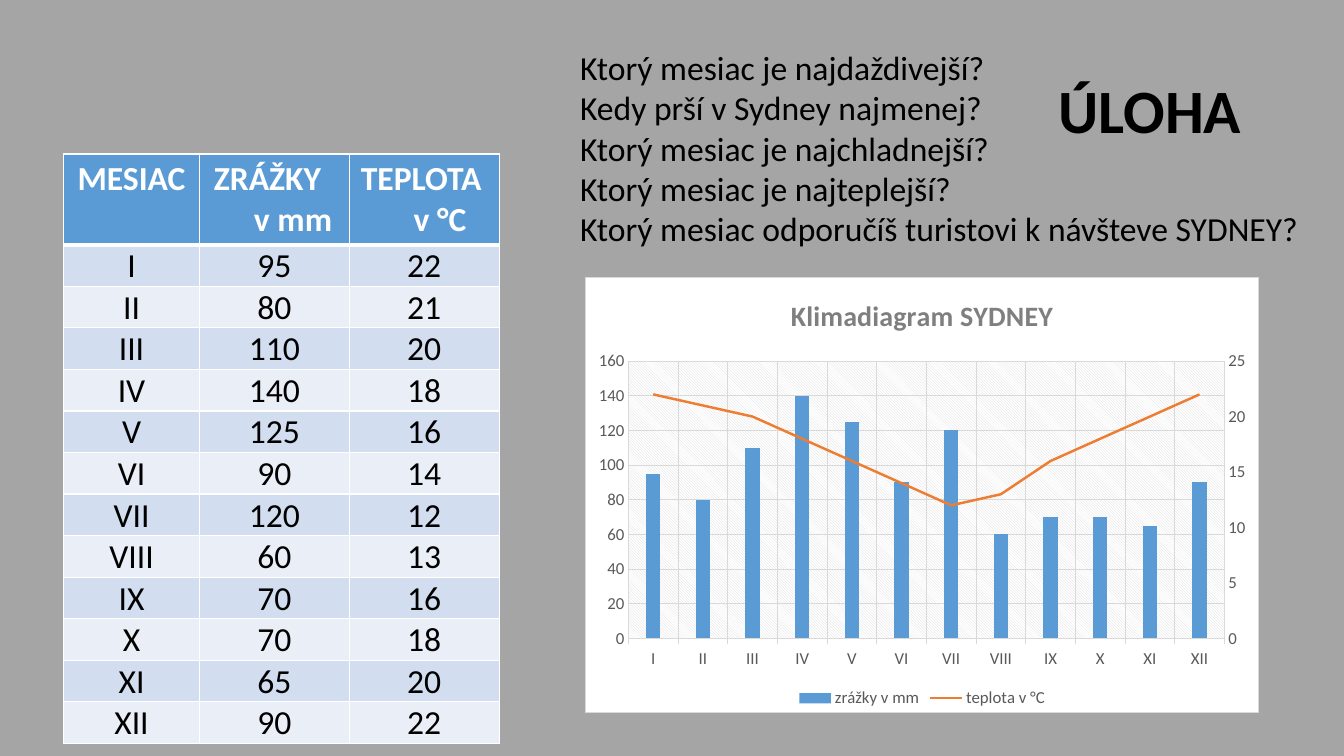
from lxml.etree import SubElement
from pptx import Presentation
from pptx.chart.data import CategoryChartData
from pptx.dml.color import RGBColor
from pptx.enum.chart import XL_CHART_TYPE, XL_LEGEND_POSITION, XL_MARKER_STYLE, XL_TICK_MARK
from pptx.enum.text import MSO_ANCHOR, MSO_AUTO_SIZE, PP_ALIGN
from pptx.oxml import parse_xml
from pptx.oxml.ns import nsdecls, qn
from pptx.util import Cm, Pt

MONTHS = ["I", "II", "III", "IV", "V", "VI", "VII", "VIII", "IX", "X", "XI", "XII"]
RAINFALL = [95, 80, 110, 140, 125, 90, 120, 60, 70, 70, 65, 90]
TEMPERATURE = [22, 21, 20, 18, 16, 14, 12, 13, 16, 18, 20, 22]
HEADINGS = [
    [("MESIAC", 0, 0)],
    [("ZRÁŽKY", 0, 0.35), ("v mm", 0.94, 0)],
    [("TEPLOTA", 0, 0.15), ("v °C", 0.8, 0)],
]
QUESTIONS = [
    "Ktorý mesiac je najdaždivejší?",
    "Kedy prší v Sydney najmenej?",
    "Ktorý mesiac je najchladnejší?",
    "Ktorý mesiac je najteplejší?",
    "Ktorý mesiac odporučíš turistovi k návšteve SYDNEY?",
]
BLUE, ORANGE, GRID, LABEL = "5B9BD5", "ED7D31", "D9D9D9", "595959"


def color(value):
    """Turn a hex string into a colour."""
    return RGBColor.from_string(value)


def style_font(font, size, value, bold=False):
    """Set typeface, size, colour and weight."""
    font.name, font.size, font.bold = "Calibri", Pt(size), bold
    font.color.rgb = color(value)


def add_span(para, text, size, value="000000", bold=False):
    """Add one styled run to a paragraph."""
    span = para.add_run()
    span.text = text
    style_font(span.font, size, value, bold)


def add_title(page, left, top, width, height):
    """Place the right-aligned heading."""
    frame = page.shapes.add_textbox(Cm(left), Cm(top), Cm(width), Cm(height)).text_frame
    frame.word_wrap = True
    frame.vertical_anchor = MSO_ANCHOR.MIDDLE
    para = frame.paragraphs[0]
    para.alignment, para.line_spacing = PP_ALIGN.RIGHT, 0.9
    add_span(para, "ÚLOHA", 44, bold=True)


def add_questions(page, left, top, width, height):
    """Place the list of questions, one paragraph each."""
    frame = page.shapes.add_textbox(Cm(left), Cm(top), Cm(width), Cm(height)).text_frame
    frame.word_wrap = False
    frame.auto_size = MSO_AUTO_SIZE.SHAPE_TO_FIT_TEXT
    for index, question in enumerate(QUESTIONS):
        para = frame.add_paragraph() if index else frame.paragraphs[0]
        add_span(para, question, 24)


def finish_cell(cell, fill, top_width, bottom_width):
    """Give a cell white borders and a solid fill."""
    properties = cell._tc.get_or_add_tcPr()
    for side, width in (("L", 1), ("R", 1), ("T", top_width), ("B", bottom_width)):
        line = SubElement(properties, qn(f"a:ln{side}"), w=str(Pt(width)))
        SubElement(SubElement(line, qn("a:solidFill")), qn("a:srgbClr"), val="FFFFFF")
    cell.fill.solid()
    cell.fill.fore_color.rgb = color(fill)


def add_climate_table(page, left, top, column_widths, header_height, row_height):
    """Place the table of monthly rainfall and temperature."""
    records = list(zip(MONTHS, RAINFALL, TEMPERATURE))
    height = header_height + row_height * len(records)
    table = page.shapes.add_table(len(records) + 1, len(column_widths), Cm(left), Cm(top),
                                  Cm(sum(column_widths)), Cm(height)).table
    for column, width in zip(table.columns, column_widths):
        column.width = Cm(width)
    for row in table.rows:
        row.height = Cm(row_height)
    table.rows[0].height = Cm(header_height)
    for column, lines in enumerate(HEADINGS):
        cell = table.cell(0, column)
        for index, (text, left_indent, right_indent) in enumerate(lines):
            para = cell.text_frame.add_paragraph() if index else cell.text_frame.paragraphs[0]
            para.alignment = PP_ALIGN.CENTER
            indents = para._p.get_or_add_pPr()
            indents.set("marL", str(Cm(left_indent)))
            indents.set("marR", str(Cm(right_indent)))
            add_span(para, text, 24, "FFFFFF", True)
        finish_cell(cell, BLUE, 1, 3)
    for row, record in enumerate(records, 1):
        for column, value in enumerate(record):
            cell = table.cell(row, column)
            cell.vertical_anchor = MSO_ANCHOR.BOTTOM
            cell.margin_left = cell.margin_right = cell.margin_top = Cm(0.03)
            cell.margin_bottom = 0
            para = cell.text_frame.paragraphs[0]
            para.alignment = PP_ALIGN.CENTER
            add_span(para, str(value), 24)
            finish_cell(cell, "D2DEEF" if row % 2 else "EAEFF7", 3 if row == 1 else 1, 1)


def move_to_right_axis(chart):
    """Turn the second column series into a line on a second axis."""
    plot_area = chart._chartSpace.find(qn("c:chart")).find(qn("c:plotArea"))
    bars = plot_area.find(qn("c:barChart"))
    series = bars.findall(qn("c:ser"))[1]
    for flag in series.findall(qn("c:invertIfNegative")):
        series.remove(flag)
    lines = parse_xml(f'<c:lineChart {nsdecls("c")}><c:grouping val="standard"/>'
                      '<c:varyColors val="0"/><c:marker val="1"/>'
                      '<c:axId val="5001"/><c:axId val="5002"/></c:lineChart>')
    lines.insert(2, series)
    bars.addnext(lines)
    category_axis = parse_xml(
        f'<c:catAx {nsdecls("c")}><c:axId val="5001"/>'
        '<c:scaling><c:orientation val="minMax"/></c:scaling><c:delete val="1"/>'
        '<c:axPos val="b"/><c:crossAx val="5002"/><c:crosses val="autoZero"/></c:catAx>')
    value_axis = parse_xml(
        f'<c:valAx {nsdecls("c", "a")}><c:axId val="5002"/>'
        '<c:scaling><c:orientation val="minMax"/><c:max val="25"/><c:min val="0"/></c:scaling>'
        '<c:delete val="0"/><c:axPos val="r"/><c:numFmt formatCode="General" sourceLinked="0"/>'
        '<c:majorTickMark val="none"/><c:minorTickMark val="none"/><c:tickLblPos val="nextTo"/>'
        '<c:spPr><a:ln><a:noFill/></a:ln></c:spPr>'
        '<c:txPr><a:bodyPr/><a:p><a:pPr><a:defRPr sz="1200"><a:solidFill>'
        f'<a:srgbClr val="{LABEL}"/></a:solidFill><a:latin typeface="Calibri"/></a:defRPr>'
        '</a:pPr><a:endParaRPr lang="sk-SK"/></a:p></c:txPr>'
        '<c:crossAx val="5001"/><c:crosses val="max"/><c:crossBetween val="between"/>'
        '<c:majorUnit val="5"/></c:valAx>')
    plot_area.findall(qn("c:valAx"))[-1].addnext(value_axis)
    value_axis.addnext(category_axis)


def paint_chart(chart):
    """Fill the chart area and hatch the plot area."""
    chart_element = chart._chartSpace.find(qn("c:chart"))
    chart_element.find(qn("c:plotArea")).append(parse_xml(
        f'<c:spPr {nsdecls("c", "a")}><a:pattFill prst="ltDnDiag">'
        f'<a:fgClr><a:srgbClr val="{GRID}"/></a:fgClr>'
        '<a:bgClr><a:srgbClr val="FFFFFF"/></a:bgClr></a:pattFill></c:spPr>'))
    chart_element.addnext(parse_xml(
        f'<c:spPr {nsdecls("c", "a")}><a:solidFill><a:srgbClr val="FFFFFF"/></a:solidFill>'
        f'<a:ln w="{Pt(0.75)}"><a:solidFill><a:srgbClr val="{GRID}"/></a:solidFill></a:ln></c:spPr>'))


def style_line(line, value, width):
    """Set the colour and width of a line."""
    line.color.rgb, line.width = color(value), Pt(width)


def add_climate_chart(page, left, top, width, height):
    """Place the combined rainfall and temperature chart."""
    data = CategoryChartData()
    data.categories = MONTHS
    data.add_series("zrážky v mm", RAINFALL)
    data.add_series("teplota v °C", TEMPERATURE)
    chart = page.shapes.add_chart(XL_CHART_TYPE.COLUMN_CLUSTERED, Cm(left), Cm(top),
                                  Cm(width), Cm(height), data).chart
    style_font(chart.font, 10, "000000")
    add_span(chart.chart_title.text_frame.paragraphs[0], "Klimadiagram SYDNEY", 20, "7F7F7F", True)
    chart.chart_title.include_in_layout = False
    chart.has_legend = True
    chart.legend.position = XL_LEGEND_POSITION.BOTTOM
    chart.legend.include_in_layout = False
    style_font(chart.legend.font, 12, LABEL)
    months, amounts = chart.category_axis, chart.value_axis
    for axis, tick in ((months, XL_TICK_MARK.CROSS), (amounts, XL_TICK_MARK.NONE)):
        axis.major_tick_mark = tick
        axis.has_major_gridlines = True
        style_line(axis.major_gridlines.format.line, GRID, 0.75)
        style_font(axis.tick_labels.font, 12, LABEL)
    style_line(months.format.line, GRID, 0.75)
    amounts.format.line.fill.background()
    amounts.minimum_scale, amounts.maximum_scale, amounts.major_unit = 0, 160, 20
    move_to_right_axis(chart)
    columns, lines = chart.plots
    columns.gap_width = 247
    columns.vary_by_categories = False
    columns.series[0].format.fill.solid()
    columns.series[0].format.fill.fore_color.rgb = color(BLUE)
    temperature = lines.series[0]
    temperature.smooth = False
    temperature.marker.style = XL_MARKER_STYLE.NONE
    style_line(temperature.format.line, ORANGE, 1.75)
    paint_chart(chart)


def main():
    """Build the climate exercise slide."""
    deck = Presentation()
    deck.slide_width, deck.slide_height = Cm(33.87), Cm(19.05)
    page = deck.slides.add_slide(deck.slide_layouts[6])
    page.background.fill.solid()
    page.background.fill.fore_color.rgb = color("A5A5A5")
    add_title(page, 2.33, 1.01, 29.21, 3.68)
    add_climate_table(page, 1.6, 3.88, [3.43, 3.77, 3.78], 2.2, 1.02)
    add_climate_chart(page, 14.74, 6.97, 17, 10.99)
    add_questions(page, 14.37, 1.06, 18.98, 5.39)
    deck.save("out.pptx")


if __name__ == "__main__":
    main()
